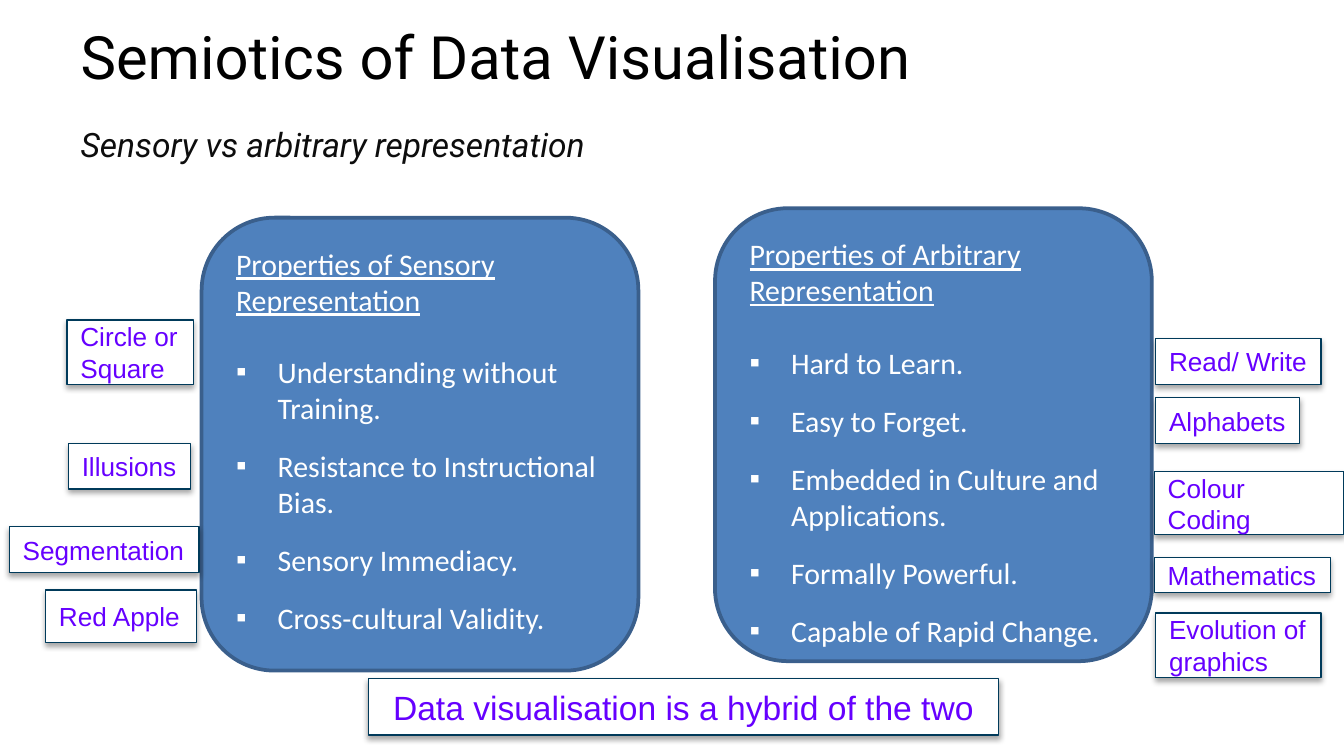
from lxml import etree
from pptx import Presentation, util as u
from pptx.dml.color import RGBColor
from pptx.enum import shapes, text
from pptx.oxml import ns

COLORS = dict(black="000000", subtitle="0D0D0D", panel="4F81BD", panel_line="3A5F8C",
              white="FFFFFF", label_line="003A5A", label_text="6600FF")
WIDTH = u.Inches(10)
HEIGHT = u.Emu(WIDTH * 9 // 16)
COL, ROW = WIDTH / 100, HEIGHT / 56.25
PANEL_W, PANEL_H = 32.5, 33.7


def rgb(name):
    return RGBColor.from_string(COLORS[name])


def place(sp, box):
    x, y, w, h = box
    sp.left, sp.width = round(x * COL), round(w * COL)
    sp.top, sp.height = round(y * ROW), round(h * ROW)


def style(p, name, size, color, align=text.PP_ALIGN.LEFT):
    p.alignment = align
    p.font.name, p.font.size = name, u.Pt(size)
    p.font.color.rgb = rgb(color)


def add_child(parent, tag, **attrs):
    return etree.SubElement(parent, ns.qn(tag), {k: str(v) for k, v in attrs.items()})


def set_bullet(p, char=None, indent=0):
    pPr = p._p.get_or_add_pPr()
    pPr.set("marL", str(u.Inches(indent)))
    pPr.set("indent", str(-u.Inches(indent)))
    if char:
        add_child(pPr, "a:buFont", typeface="Arial")
        add_child(pPr, "a:buChar", char=char)
    else:
        add_child(pPr, "a:buNone")


def add_box(s, kind, box, fill, line, line_width):
    sp = s.shapes.add_shape(kind, 0, 0, 0, 0)
    place(sp, box)
    sp.shadow.inherit = False
    sp.fill.solid()
    sp.fill.fore_color.rgb = rgb(fill)
    sp.line.color.rgb = rgb(line)
    sp.line.width = u.Pt(line_width)
    return sp


def add_heading(sp, box, wording, size, color, anchor, italic=False):
    place(sp, box)
    tf = sp.text_frame
    tf.word_wrap, tf.vertical_anchor = True, anchor
    tf.text = wording
    p = tf.paragraphs[0]
    set_bullet(p)
    p.space_before = u.Pt(0)
    style(p, "Roboto", size, color)
    p.font.italic = italic


def add_label(s, box, wording, size=14, align=text.PP_ALIGN.LEFT, wrap=False):
    """White box with a soft drop shadow; each line of wording is a paragraph."""
    sp = add_box(s, shapes.MSO_SHAPE.RECTANGLE, box, "white", "label_line", 0.75)
    effects = sp._element.spPr.find(ns.qn("a:effectLst"))
    shadow = add_child(effects, "a:outerShdw", blurRad=u.Pt(3.1), dist=u.Pt(1.8),
                       dir=90 * 60000, rotWithShape=0)
    add_child(add_child(shadow, "a:srgbClr", val=COLORS["black"]), "a:alpha", val=35000)
    tf = sp.text_frame
    tf.word_wrap, tf.vertical_anchor = wrap, text.MSO_ANCHOR.MIDDLE
    tf.text = wording
    for p in tf.paragraphs:
        style(p, "Arial", size, "label_text", align)


def add_panel(s, x, y, title, points):
    sp = add_box(s, shapes.MSO_SHAPE.ROUNDED_RECTANGLE, (x, y, PANEL_W, PANEL_H),
                 "panel", "panel_line", 2)
    tf = sp.text_frame
    tf.word_wrap, tf.vertical_anchor = True, text.MSO_ANCHOR.TOP
    tf.text = "\n".join([title, *points])
    heading, *items = tf.paragraphs
    style(heading, "Calibri", 16, "white")
    heading.font.underline = True
    for i, p in enumerate(items):
        set_bullet(p, "▪", 0.31)
        p.space_before = u.Pt(12 if i else 19.5)
        style(p, "Calibri", 16, "white")


def add_side_labels(s, edge, top, labels, left_side):
    """Stack labels beside a panel edge; each is (text, gap, drop, width, height, wrap)."""
    for wording, gap, drop, w, h, wrap in labels:
        x = edge - gap - w if left_side else edge + gap
        add_label(s, (x, top + drop, w, h), wording, wrap=wrap)


SENSORY = ["Understanding without Training.", "Resistance to Instructional Bias.",
           "Sensory Immediacy.", "Cross-cultural Validity."]
ARBITRARY = ["Hard to Learn.", "Easy to Forget.", "Embedded in Culture and Applications.",
             "Formally Powerful.", "Capable of Rapid Change."]
SENSORY_LABELS = [("Circle or\nSquare", 0.6, 7.6, 9.4, 4.8, False),
                  ("Illusions", 0.8, 16.8, 9.1, 3.4, False),
                  ("Segmentation", 0.2, 23, 14.1, 3.4, False),
                  ("Red Apple", 0.4, 27.7, 11.2, 3.9, False)]
ARBITRARY_LABELS = [("Read/ Write", 0.3, 9.7, 12.3, 3.4, False),
                    ("Alphabets", 0.3, 14.1, 10.7, 3.4, False),
                    ("Colour Coding", 0.2, 19.6, 14.1, 4.7, True),
                    ("Mathematics", 0.2, 26, 13.1, 2.6, False),
                    ("Evolution of graphics", 0.3, 30.1, 12.3, 4.8, True)]


def main():
    prs = Presentation()
    prs.slide_width, prs.slide_height = WIDTH, HEIGHT
    s = prs.slides.add_slide(prs.slide_layouts[1])
    add_heading(s.shapes.title, (5, 0.9, 91.7, 6.5), "Semiotics of Data Visualisation",
                32, "black", text.MSO_ANCHOR.MIDDLE)
    add_heading(s.placeholders[1], (5, 8.7, 93.7, 4.5), "Sensory vs arbitrary representation",
                18, "subtitle", text.MSO_ANCHOR.TOP, italic=True)
    left, right = (15, 16.2), (53.2, 15.5)
    add_panel(s, *left, "Properties of Sensory Representation", SENSORY)
    add_panel(s, *right, "Properties of Arbitrary Representation", ARBITRARY)
    add_label(s, (27.4, 50.5, 46.9, 4.2), "Data visualisation is a hybrid of the two",
              18, text.PP_ALIGN.CENTER)
    add_side_labels(s, *left, SENSORY_LABELS, left_side=True)
    add_side_labels(s, right[0] + PANEL_W, right[1], ARBITRARY_LABELS, left_side=False)
    prs.save("out.pptx")


if __name__ == "__main__":
    main()
